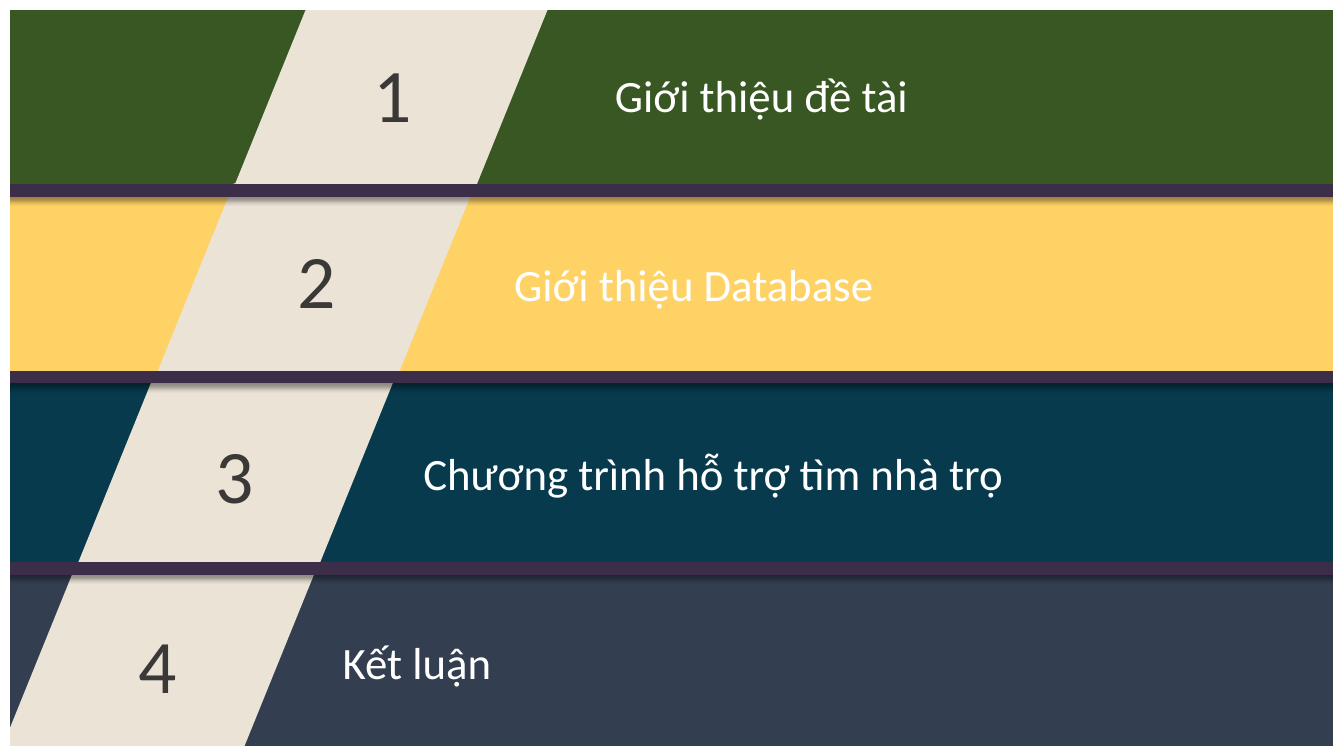
import dataclasses

import lxml.etree
import pptx
import pptx.dml.color
import pptx.enum.shapes
import pptx.enum.text
import pptx.oxml.ns
import pptx.util

SLIDE_WIDTH = pptx.util.Inches(13.33)
SLIDE_HEIGHT = pptx.util.Inches(7.5)
ROW = 25
FONT = "Calibri"
WHITE = "FFFFFF"
STRIPE_COLOR = "EBE3D6"
NUMBER_COLOR = "3B3838"
DIVIDER_COLOR = "3C2E48"
STRIPE_WIDTH = 23.7
STRIPE_SLANT = 5.7
BAR_HEIGHT = 1.6
BAR_WIDTH = 0.9


@dataclasses.dataclass(frozen=True)
class Chapter:
    title: str
    color: str
    title_left: float
    stripe_left: float
    stripe_top: float


@dataclasses.dataclass(frozen=True)
class Bar:
    left: float
    top: float
    width: float
    height: float
    color: str = WHITE
    shadowed: bool = False


CHAPTERS = [
    Chapter("Giới thiệu đề tài", "385723", 45.75, 17.4, -0.25),
    Chapter("Giới thiệu Database", "FFD266", 38.25, 11.7, 24.25),
    Chapter("Chương trình hỗ trợ tìm nhà trọ", "073A4D", 31.5, 5.65, 50.15),
    Chapter("Kết luận", "333F50", 25.5, -0.15, 75.2),
]

BARS = [
    Bar(0, 98.7, 100, BAR_HEIGHT),
    *(Bar(0, top, 100, BAR_HEIGHT, DIVIDER_COLOR, True) for top in (74.4, 49.1, 24.4)),
    Bar(0, -0.25, 100, BAR_HEIGHT),
    *(Bar(left, -0.25, BAR_WIDTH, 100.3) for left in (-0.15, 99.2)),
]


def across(percent: float) -> int:
    return round(SLIDE_WIDTH * percent / 100)


def down(percent: float) -> int:
    return round(SLIDE_HEIGHT * percent / 100)


def rgb(color: str) -> pptx.dml.color.RGBColor:
    return pptx.dml.color.RGBColor.from_string(color)


def paint(shape, color: str) -> None:
    shape.shadow.inherit = False
    shape.fill.solid()
    shape.fill.fore_color.rgb = rgb(color)
    shape.line.fill.background()


def write(shape, text: str, size: int, color: str, alignment) -> None:
    text_frame = shape.text_frame
    text_frame.text = text
    text_frame.word_wrap = True
    text_frame.vertical_anchor = pptx.enum.text.MSO_ANCHOR.MIDDLE
    paragraph = text_frame.paragraphs[0]
    paragraph.alignment = alignment
    font = paragraph.runs[0].font
    font.name = FONT
    font.size = pptx.util.Pt(size)
    font.color.rgb = rgb(color)


def cast_shadow(shape) -> None:
    qualified = pptx.oxml.ns.qn
    effects = shape.element.spPr.find(qualified("a:effectLst"))
    shadow = lxml.etree.SubElement(
        effects, qualified("a:outerShdw"),
        blurRad=str(pptx.util.Pt(4)), dist=str(pptx.util.Pt(3)),
        dir="5400000", algn="t", rotWithShape="0",
    )
    color = lxml.etree.SubElement(shadow, qualified("a:srgbClr"), val="000000")
    lxml.etree.SubElement(color, qualified("a:alpha"), val="40000")


def draw_band(slide, index: int, chapter: Chapter) -> None:
    band = slide.shapes.add_shape(
        pptx.enum.shapes.MSO_SHAPE.RECTANGLE,
        0, down(index * ROW), SLIDE_WIDTH, down(ROW),
    )
    paint(band, chapter.color)
    write(band, chapter.title, 32, WHITE, pptx.enum.text.PP_ALIGN.LEFT)
    band.text_frame.margin_left = across(chapter.title_left)


def draw_stripe(slide, number: int, chapter: Chapter) -> None:
    left, right = chapter.stripe_left, chapter.stripe_left + STRIPE_WIDTH
    top, bottom = chapter.stripe_top, chapter.stripe_top + ROW
    corners = [
        (left, bottom),
        (left + STRIPE_SLANT, top),
        (right, top),
        (right - STRIPE_SLANT, bottom),
    ]
    points = [(across(x), down(y)) for x, y in corners]
    builder = slide.shapes.build_freeform(*points[0])
    builder.add_line_segments(points[1:], close=True)
    stripe = builder.convert_to_shape()
    paint(stripe, STRIPE_COLOR)
    write(stripe, str(number), 54, NUMBER_COLOR, pptx.enum.text.PP_ALIGN.CENTER)


def draw_bar(slide, bar: Bar) -> None:
    shape = slide.shapes.add_shape(
        pptx.enum.shapes.MSO_SHAPE.FLOWCHART_PROCESS,
        across(bar.left), down(bar.top), across(bar.width), down(bar.height),
    )
    paint(shape, bar.color)
    if bar.shadowed:
        cast_shadow(shape)


def main() -> None:
    presentation = pptx.Presentation()
    presentation.slide_width = SLIDE_WIDTH
    presentation.slide_height = SLIDE_HEIGHT
    slide = presentation.slides.add_slide(presentation.slide_layouts[6])
    for index, chapter in enumerate(CHAPTERS):
        draw_band(slide, index, chapter)
    for number, chapter in enumerate(CHAPTERS, start=1):
        draw_stripe(slide, number, chapter)
    for bar in BARS:
        draw_bar(slide, bar)
    presentation.save("out.pptx")


if __name__ == "__main__":
    main()
